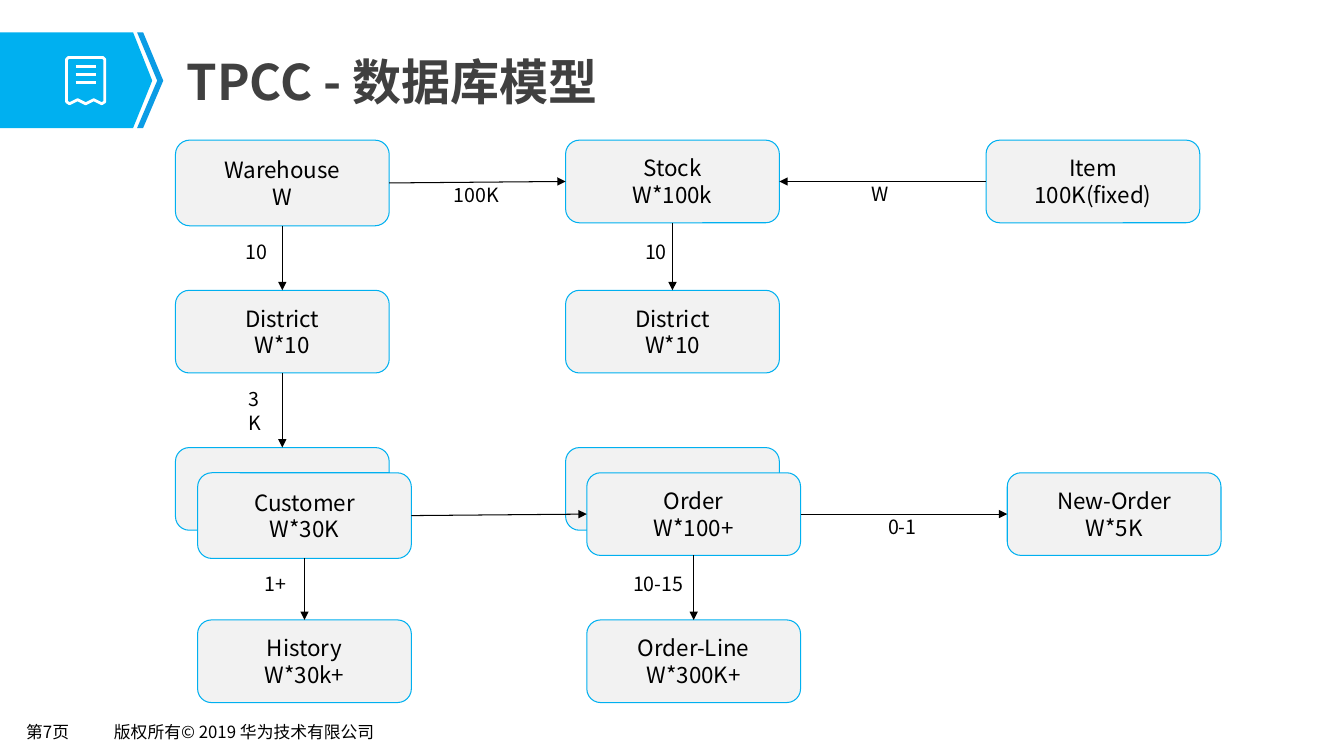
"""Build the TPCC database model slide."""
from lxml import etree
from pptx import Presentation
from pptx.dml.color import RGBColor
from pptx.enum.shapes import MSO_CONNECTOR, MSO_SHAPE
from pptx.enum.text import MSO_ANCHOR, PP_ALIGN
from pptx.oxml.ns import qn
from pptx.util import Inches, Pt

BLACK = RGBColor(0, 0, 0)
WHITE = RGBColor(255, 255, 255)
TITLE_GREY = RGBColor(0x40, 0x40, 0x40)
BOX_GREY = RGBColor(0xF2, 0xF2, 0xF2)
CYAN = RGBColor(0x00, 0xB0, 0xF0)
BLUE = RGBColor(0x0B, 0x9C, 0xE5)
FONT = "Noto Sans CJK SC"
STRAIGHT = MSO_CONNECTOR.STRAIGHT
ROUNDED = MSO_SHAPE.ROUNDED_RECTANGLE
CENTER, LEFT = PP_ALIGN.CENTER, PP_ALIGN.LEFT
MIDDLE = MSO_ANCHOR.MIDDLE
TOP_SIDE, LEFT_SIDE, BOTTOM_SIDE, RIGHT_SIDE = range(4)

TITLE_FORMAT = {"size": Pt(35), "bold": True}
BOX_FORMAT = {"size": Pt(16)}
LABEL_FORMAT = {"size": Pt(14)}
FOOTER_FORMAT = {"size": Pt(12)}

BACK_X = (1.74, 5.61, 9.78)
FRONT_X = (1.96, 5.82, 9.99)
BACK_Y = (1.39, 2.88, 4.44)
FRONT_Y = (4.69, 6.15)
BOX_W, BOX_H, TALL_H = 2.12, 0.82, 0.85

TABLES = {
    "warehouse": (BACK_X[0], BACK_Y[0], TALL_H, ["Warehouse", "W"]),
    "stock": (BACK_X[1], BACK_Y[0], BOX_H, ["Stock", "W*100k"]),
    "item": (BACK_X[2], BACK_Y[0], BOX_H, ["Item", "100K(fixed)"]),
    "district": (BACK_X[0], BACK_Y[1], BOX_H, ["District", "W*10"]),
    "stock_district": (BACK_X[1], BACK_Y[1], BOX_H, ["District", "W*10"]),
    "customer_back": (BACK_X[0], BACK_Y[2], BOX_H, []),
    "order_back": (BACK_X[1], BACK_Y[2], BOX_H, []),
    "customer": (FRONT_X[0], FRONT_Y[0], TALL_H, ["Customer", "W*30K"]),
    "order": (FRONT_X[1], FRONT_Y[0], BOX_H, ["Order", "W*100+"]),
    "new_order": (FRONT_X[2], FRONT_Y[0], BOX_H, ["New-Order", "W*5K"]),
    "history": (FRONT_X[0], FRONT_Y[1], BOX_H, ["History", "W*30k+"]),
    "order_line": (FRONT_X[1], FRONT_Y[1], BOX_H, ["Order-Line", "W*300K+"]),
}
DOWN = (BOTTOM_SIDE, TOP_SIDE)
RIGHTWARD = (RIGHT_SIDE, LEFT_SIDE)
LEFTWARD = (LEFT_SIDE, RIGHT_SIDE)
LINKS = [
    ("warehouse", "district", DOWN),
    ("warehouse", "stock", RIGHTWARD),
    ("item", "stock", LEFTWARD),
    ("district", "customer_back", DOWN),
    ("stock", "stock_district", DOWN),
    ("customer", "history", DOWN),
    ("customer", "order", RIGHTWARD),
    ("order", "new_order", RIGHTWARD),
    ("order", "order_line", DOWN),
]
LABELS = [
    ("10", 2.34, 2.33, 0.43),
    ("3K", 2.37, 3.91, 0.43),
    ("100K", 4.4, 1.77, 0.67),
    ("W", 8.55, 1.76, 0.39),
    ("10", 6.3, 2.33, 0.43),
    ("1+", 2.53, 5.63, 0.46),
    ("0-1", 8.71, 5.06, 0.51),
    ("10-15", 6.18, 5.63, 0.71),
]
FOOTERS = [
    ("第7页", 0.17, 0.74),
    ("版权所有© 2019 华为技术有限公司", 1.04, 2.85),
]
BANNER = [(0, 0.32), (1.32, 0.32), (1.51, 0.8), (1.32, 1.27), (0, 1.27)]
CHEVRON = [(1.36, 0.32), (1.42, 0.32), (1.62, 0.8), (1.42, 1.27),
           (1.36, 1.27), (1.56, 0.8)]
RECEIPT = [(0.68, 0.57), (1.02, 0.57), (1.04, 0.59), (1.04, 1.01),
           (1.01, 1.03), (0.93, 0.99), (0.85, 1.03), (0.77, 0.99),
           (0.69, 1.03), (0.66, 1.01), (0.66, 0.59)]
RECEIPT_ROWS = (0.66, 0.74, 0.82)


def write(tf, lines, fmt, color=BLACK, align=LEFT):
    """Fill a text frame with one paragraph per line."""
    tf.vertical_anchor = MIDDLE
    for i, line in enumerate(lines):
        p = tf.paragraphs[0] if i == 0 else tf.add_paragraph()
        p.alignment = align
        r = p.add_run()
        r.text = line
        for name, value in {"name": FONT, **fmt}.items():
            setattr(r.font, name, value)
        r.font.color.rgb = color
        etree.SubElement(r.font._element, qn("a:ea"), typeface=FONT)


def add_text(s, text, box, fmt, color=BLACK, inset=(0.1, 0.05)):
    """Add a one-line text box."""
    tf = s.shapes.add_textbox(*map(Inches, box)).text_frame
    tf.word_wrap = False
    tf.margin_left = tf.margin_right = Inches(inset[0])
    tf.margin_top = tf.margin_bottom = Inches(inset[1])
    write(tf, [text], fmt, color)


def add_outline(s, points):
    """Add a closed freeform without shadow."""
    fb = s.shapes.build_freeform(*map(Inches, points[0]), scale=1.0)
    fb.add_line_segments([tuple(map(Inches, pt)) for pt in points[1:]])
    sp = fb.convert_to_shape()
    sp.shadow.inherit = False
    return sp


def add_line(s, start, end, color, width):
    """Add a straight connector without shadow."""
    line = s.shapes.add_connector(
        STRAIGHT, *map(Inches, start), *map(Inches, end))
    line.line.color.rgb = color
    line.line.width = Pt(width)
    etree.SubElement(line._element.spPr, qn("a:effectLst"))
    return line


def add_header(s):
    """Draw the banner, its receipt icon and the title."""
    for points, color in ((BANNER, CYAN), (CHEVRON, BLUE)):
        sp = add_outline(s, points)
        sp.fill.solid()
        sp.fill.fore_color.rgb = color
        sp.line.fill.background()
    receipt = add_outline(s, RECEIPT)
    receipt.fill.background()
    receipt.line.color.rgb = WHITE
    receipt.line.width = Pt(2)
    for y in RECEIPT_ROWS:
        add_line(s, (0.75, y), (0.95, y), WHITE, 1.75)
    tf = s.shapes.add_textbox(
        *map(Inches, (1.74, 0.45, 10.75, 0.7))).text_frame
    tf.word_wrap = True
    tf.margin_left = tf.margin_right = Inches(0.11)
    tf.margin_top = tf.margin_bottom = Inches(0.06)
    write(tf, ["TPCC - 数据库模型"], TITLE_FORMAT, TITLE_GREY)


def add_model(s):
    """Draw the tables, the arrows between them and the arrow labels."""
    boxes = {}
    for key, (x, y, h, lines) in TABLES.items():
        sp = s.shapes.add_shape(ROUNDED, *map(Inches, (x, y, BOX_W, h)))
        sp.shadow.inherit = False
        sp.fill.solid()
        sp.fill.fore_color.rgb = BOX_GREY
        sp.line.color.rgb = CYAN
        sp.line.width = Pt(0.75)
        write(sp.text_frame, lines, BOX_FORMAT, align=CENTER)
        boxes[key] = sp
    for source, target, (begin, end) in LINKS:
        arrow = add_line(s, (0, 0), (0, 0), BLACK, 0.75)
        arrow.begin_connect(boxes[source], begin)
        arrow.end_connect(boxes[target], end)
        etree.SubElement(arrow.line._get_or_add_ln(), qn("a:tailEnd"),
                         type="triangle")
    for text, x, y, w in LABELS:
        add_text(s, text, (x, y, w, 0.33), LABEL_FORMAT)


def main():
    """Build and save the slide."""
    prs = Presentation()
    prs.slide_width, prs.slide_height = Inches(13.33), Inches(7.5)
    s = prs.slides.add_slide(prs.slide_layouts[6])
    for text, x, w in FOOTERS:
        add_text(s, text, (x, 7.11, w, 0.29), FOOTER_FORMAT,
                 inset=(0.09, 0.04))
    add_header(s)
    add_model(s)
    prs.save("out.pptx")


if __name__ == "__main__":
    main()
